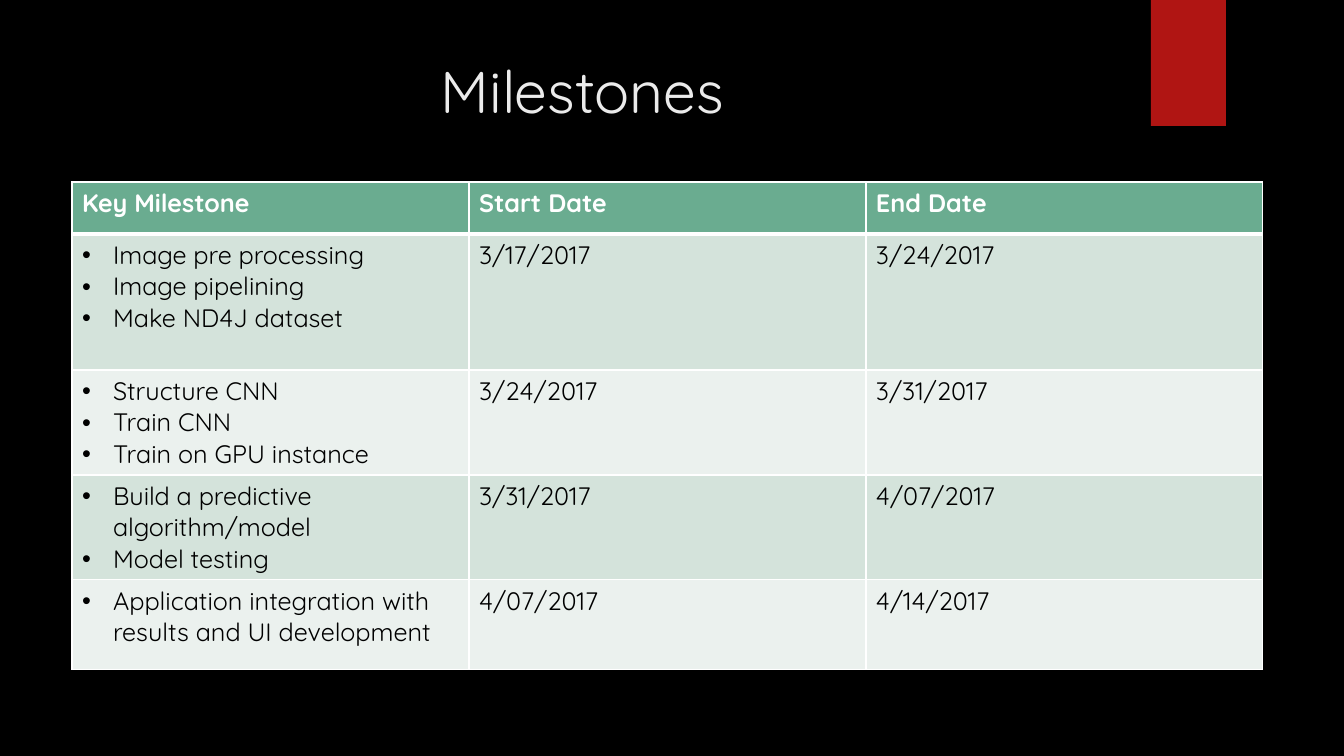
from lxml.etree import SubElement
from pptx import Presentation
from pptx.dml.color import RGBColor
from pptx.enum.shapes import MSO_SHAPE as Shape
from pptx.enum.text import MSO_ANCHOR as Anchor, PP_ALIGN as Align
from pptx.oxml.ns import qn
from pptx.util import Emu, Pt

# Content
TITLE = "Milestones "
HEADINGS = ("Key Milestone", "Start Date", "End Date")
MILESTONES = [
    (("Image pre processing", "Image pipelining", "Make ND4J dataset"),
     "3/17/2017", "3/24/2017"),
    (("Structure CNN", "Train CNN", "Train on GPU instance"),
     "3/24/2017", "3/31/2017"),
    (("Build a predictive algorithm/model", "Model testing"),
     "3/31/2017", "4/07/2017"),
    (("Application integration with results and UI development",),
     "4/07/2017", "4/14/2017"),
]

# Layout in px and colours
SLIDE = (1344, 756)
RIBBON_BOX = (1151, 0, 75, 126)
TITLE_BOX = (72, 50, 1037, 125)
TABLE_LEFT, TABLE_TOP, COLUMN_WIDTH = 72, 182, 397
ROW_HEIGHTS = (52, 136, 105, 105, 90)
BULLET_INDENT = 31
FONT = "Quicksand"
BLACK, WHITE, RED = "000000", "FFFFFF", "B01513"
TITLE_COLOR, HEADING_FILL = "EBEBEB", "6AAC90"
BAND_FILLS = ("D4E3DB", "EBF1EE")


def px(length):
    return Emu(round(length * 914400 / 100.8))


def paint(fill, color):
    fill.solid()
    fill.fore_color.rgb = RGBColor.from_string(color)


def add_bullet(paragraph):
    props = paragraph._p.get_or_add_pPr()
    props.set("marL", str(px(BULLET_INDENT)))
    props.set("indent", str(-px(BULLET_INDENT)))
    SubElement(props, qn("a:buFont"), typeface="Arial")
    SubElement(props, qn("a:buChar"), char="•")


def write(frame, lines, size=18, color=BLACK, bold=False, align=Align.LEFT, bullets=False):
    frame.word_wrap = True
    for number, line in enumerate(lines):
        paragraph = frame.add_paragraph() if number else frame.paragraphs[0]
        paragraph.alignment = align
        if bullets:
            add_bullet(paragraph)
        run = paragraph.add_run()
        run.text = line
        run.font.name, run.font.size, run.font.bold = FONT, Pt(size), bold
        run.font.color.rgb = RGBColor.from_string(color)


def add_borders(cell, **widths):
    props = cell._tc.get_or_add_tcPr()
    for side in "LRTB":
        line = SubElement(props, qn(f"a:ln{side}"), w=str(Pt(widths.get(side, 1))))
        SubElement(SubElement(line, qn("a:solidFill")), qn("a:srgbClr"), val=WHITE)


def main():
    deck = Presentation()
    deck.slide_width, deck.slide_height = map(px, SLIDE)
    slide = deck.slides.add_slide(deck.slide_layouts[6])
    paint(slide.background.fill, BLACK)

    # Ribbon
    ribbon = slide.shapes.add_shape(Shape.RECTANGLE, *map(px, RIBBON_BOX))
    ribbon.shadow.inherit = False
    paint(ribbon.fill, RED)
    ribbon.line.fill.background()

    # Title
    title = slide.shapes.add_textbox(*map(px, TITLE_BOX)).text_frame
    title.vertical_anchor = Anchor.TOP
    write(title, [TITLE], size=42, color=TITLE_COLOR, align=Align.CENTER)

    # Schedule table
    schedule = slide.shapes.add_table(
        len(ROW_HEIGHTS), len(HEADINGS), px(TABLE_LEFT), px(TABLE_TOP),
        px(COLUMN_WIDTH * len(HEADINGS)), px(sum(ROW_HEIGHTS))).table
    for column in schedule.columns:
        column.width = px(COLUMN_WIDTH)
    for row, height in zip(schedule.rows, ROW_HEIGHTS):
        row.height = px(height)

    # Heading row
    for column, heading in enumerate(HEADINGS):
        cell = schedule.cell(0, column)
        add_borders(cell, B=3)
        paint(cell.fill, HEADING_FILL)
        write(cell.text_frame, [heading], color=WHITE, bold=True)

    # Milestone rows
    for number, (tasks, start, end) in enumerate(MILESTONES):
        for column, lines in enumerate((tasks, [start], [end])):
            cell = schedule.cell(number + 1, column)
            add_borders(cell, T=1 if number else 3)
            paint(cell.fill, BAND_FILLS[number % 2])
            write(cell.text_frame, lines, bullets=column == 0)

    deck.save("out.pptx")


if __name__ == "__main__":
    main()
